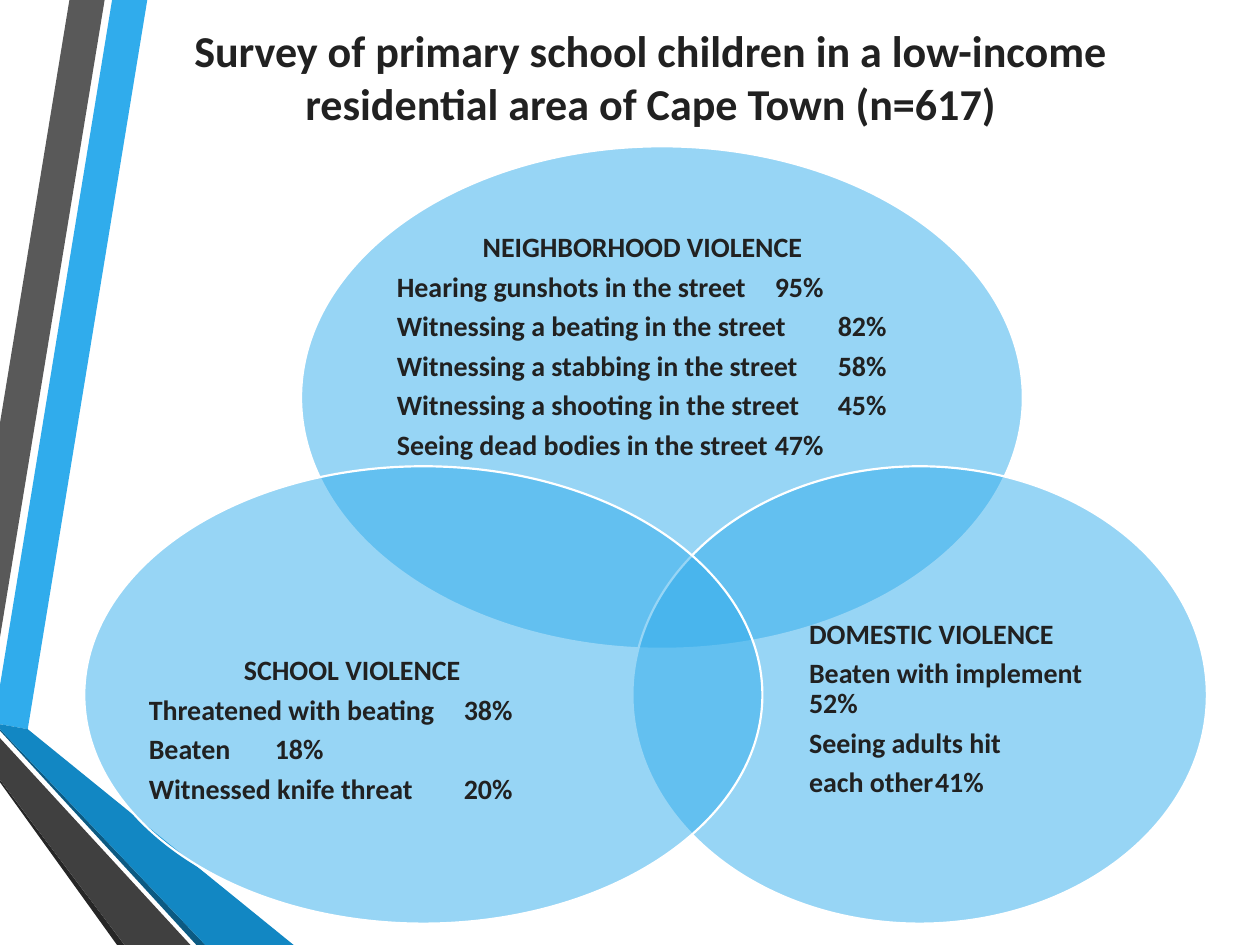
from dataclasses import dataclass

from lxml.etree import SubElement
from pptx import Presentation
from pptx.dml.color import RGBColor as Rgb
from pptx.enum.shapes import MSO_SHAPE as Preset
from pptx.enum.text import MSO_ANCHOR as Anchor, MSO_AUTO_SIZE as AutoSize, PP_ALIGN as Align
from pptx.oxml.ns import qn
from pptx.util import Cm, Pt


@dataclass(frozen=True)
class Theme:
    font: str = "Calibri"
    ink: str = "212121"
    sky: str = "30ACEC"
    outline: str = "FFFFFF"
    opacity: int = 50
    title_size: float = 25.2
    list_size: float = 16
    row_gap: float = 5.3


@dataclass(frozen=True)
class Box:
    left: float
    top: float
    width: float
    height: float

    def inner(self, dx, dy, width, height):
        return Box(self.left + dx, self.top + dy, width, height)

    def lengths(self):
        return [Cm(v) for v in (self.left, self.top, self.width, self.height)]


THEME = Theme()

RIBBONS = [
    ("30ACEC", [(0, 13.82), (0, 14.6), (0.56, 14.7), (2.97, 0), (2.26, 0)]),
    ("595959", [(2.11, 0), (1.4, 0), (0, 8.53), (0, 12.85)]),
    ("262626", [(0, 15.72), (0, 15.77), (2.36, 19.05), (2.51, 19.05)]),
    ("0C5A82", [(0, 14.7), (0, 14.73), (3.96, 19.05), (4.14, 19.05)]),
    ("1287C3", [(0, 14.7), (4.14, 19.05), (5.92, 19.05), (0.56, 14.7), (0, 14.6)]),
    ("404040", [(0, 15.72), (2.51, 19.05), (3.84, 19.05), (0, 14.88)]),
]

CIRCLES = [
    dict(
        box=Box(6.07, 2.95, 14.55, 10.13),
        list_at=(1.93, 1.78, 10.67, 4.55),
        heading="NEIGHBORHOOD VIOLENCE",
        heading_indent=1.73,
        rows=[
            "Hearing gunshots in the street\t95%",
            "Witnessing a beating in the street\t82%",
            "Witnessing a stabbing in the street\t58%",
            "Witnessing a shooting in the street\t45%",
            "Seeing dead bodies in the street\t47%",
        ],
        value_tab=8.65,
    ),
    dict(
        box=Box(12.75, 9.4, 11.58, 9.22),
        list_at=(3.56, 2.36, 6.93, 5.08),
        heading="DOMESTIC VIOLENCE",
        rows=["Beaten with implement\t52%", "Seeing adults hit", "each other\t41%"],
        value_tab=5.92,
    ),
    dict(
        box=Box(1.7, 9.4, 13.67, 9.22),
        list_at=(1.3, 2.36, 8.2, 5.08),
        heading="SCHOOL VIOLENCE",
        heading_align=Align.CENTER,
        rows=["Threatened with beating\t38%", "Beaten\t18%", "Witnessed knife threat\t20%"],
        value_tab=5.92,
        top_inset=0.88,
    ),
]


def place(shape, box):
    shape.left, shape.top, shape.width, shape.height = box.lengths()


def write(paragraph, text, size, align=Align.LEFT):
    paragraph.alignment = align
    run = paragraph.add_run()
    run.text = text
    run.font.name = THEME.font
    run.font.size = Pt(size)
    run.font.bold = True
    run.font.color.rgb = Rgb.from_string(THEME.ink)


def set_frame(frame):
    frame.word_wrap = True
    frame.auto_size = AutoSize.NONE
    frame.vertical_anchor = Anchor.MIDDLE


def draw_ribbons(slide, box):
    for color, corners in RIBBONS:
        points = [(round((box.left + x) * 100), round((box.top + y) * 100)) for x, y in corners]
        outline = slide.shapes.build_freeform(*points[0], scale=Cm(0.01))
        outline.add_line_segments(points[1:], close=True)
        ribbon = outline.convert_to_shape()
        ribbon.shadow.inherit = False
        ribbon.fill.solid()
        ribbon.fill.fore_color.rgb = Rgb.from_string(color)
        ribbon.line.fill.background()


def draw_title(slide, box, text):
    title = slide.shapes.title
    place(title, box)
    set_frame(title.text_frame)
    write(title.text_frame.paragraphs[0], text, THEME.title_size, Align.CENTER)


def draw_circle(slide, box):
    circle = slide.shapes.add_shape(Preset.OVAL, *box.lengths())
    circle.shadow.inherit = False
    circle.fill.solid()
    circle.fill.fore_color.rgb = Rgb.from_string(THEME.sky)
    color = circle.element.find(f".//{qn('a:solidFill')}/{qn('a:srgbClr')}")
    SubElement(color, qn("a:alpha"), val=str(THEME.opacity * 1000))
    circle.line.color.rgb = Rgb.from_string(THEME.outline)
    circle.line.width = Pt(1.25)


def format_row(paragraph, indent, value_tab):
    paragraph.line_spacing = 0.9
    paragraph.space_before = Pt(0)
    paragraph.space_after = Pt(THEME.row_gap)
    properties = paragraph._p.get_or_add_pPr()
    properties.set("marL", str(Cm(indent)))
    properties.set("indent", "0")
    SubElement(properties, qn("a:buNone"))
    tabs = SubElement(properties, qn("a:tabLst"))
    SubElement(tabs, qn("a:tab"), pos=str(Cm(value_tab)), algn="l")


def fill_list(slide, body, box, heading, rows, value_tab,
              heading_indent=0, heading_align=Align.LEFT, top_inset=0):
    place(body, box)
    slide.shapes.element.append(body.element)
    frame = body.text_frame
    set_frame(frame)
    frame.margin_left = frame.margin_right = frame.margin_bottom = 0
    frame.margin_top = Cm(top_inset)
    for number, text in enumerate([heading] + rows):
        first = number == 0
        paragraph = frame.paragraphs[0] if first else frame.add_paragraph()
        write(paragraph, text, THEME.list_size, heading_align if first else Align.LEFT)
        format_row(paragraph, heading_indent if first else 0, value_tab)


def draw_diagram(slide, circles):
    bodies = [p for p in slide.placeholders if p.placeholder_format.idx > 0]
    for circle in circles:
        draw_circle(slide, circle["box"])
    for body, circle in zip(bodies, circles):
        content = {k: v for k, v in circle.items() if k not in ("box", "list_at")}
        fill_list(slide, body, circle["box"].inner(*circle["list_at"]), **content)
    for spare in bodies[len(circles):]:
        slide.shapes.element.remove(spare.element)


def main():
    deck = Presentation()
    deck.slide_width, deck.slide_height = Cm(25.4), Cm(19.05)
    comparison = deck.slide_layouts[4]
    slide = deck.slides.add_slide(comparison)
    draw_ribbons(slide, Box(0, 0, 5.92, 19.05))
    draw_title(
        slide,
        Box(2.11, 0.76, 22.02, 1.55),
        "Survey of primary school children in a low-income residential area of Cape Town (n=617)",
    )
    draw_diagram(slide, CIRCLES)
    deck.save("out.pptx")


main()
